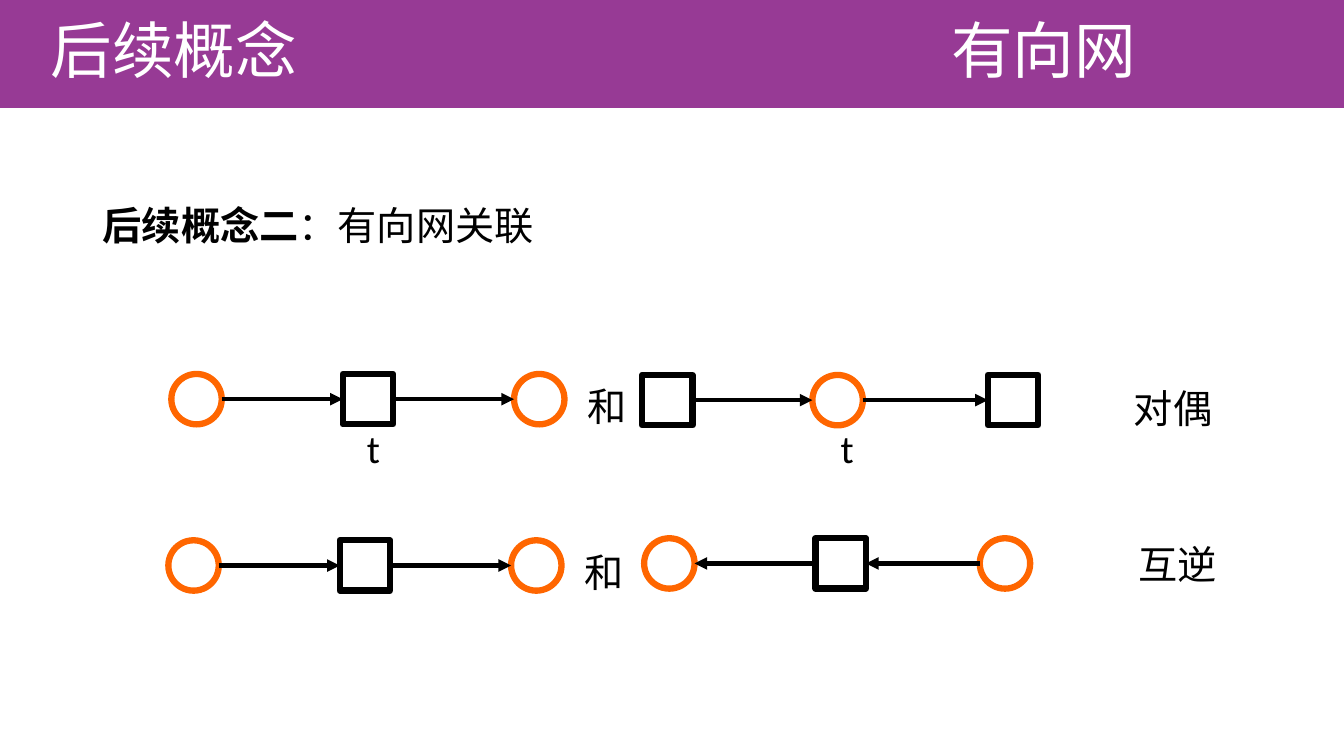
from itertools import pairwise
from lxml.etree import SubElement
from pptx import Presentation
from pptx.dml.color import RGBColor as Rgb
from pptx.enum.shapes import MSO_CONNECTOR as Link, MSO_SHAPE as Kind
from pptx.enum.text import MSO_ANCHOR as Anchor, MSO_AUTO_SIZE as Auto, PP_ALIGN as Align
from pptx.oxml.ns import qn
from pptx.util import Inches, Pt

WIDE, HIGH = Inches(13.33), Inches(7.5)
SIDE = Inches(0.5)
SANS = "Noto Sans CJK SC"
BLACK, WHITE, ORANGE, PURPLE = "000000", "FFFFFF", "FF6600", "973A95"


def share(left, top, width, height):
    return (int(WIDE * left / 100), int(HIGH * top / 100),
            int(WIDE * width / 100), int(HIGH * height / 100))


def place(shape, area):
    shape.left, shape.top, shape.width, shape.height = area


def paint(target, tone):
    target.solid()
    target.fore_color.rgb = Rgb.from_string(tone)


def style(run, size, face, tone=BLACK, bold=False):
    font = run.font
    font.size, font.name, font.bold = Pt(size), face, bold
    font.color.rgb = Rgb.from_string(tone)
    SubElement(run.font._element, qn("a:ea")).set("typeface", SANS)


def write(shape, text, size=28, face="Arial", tone=BLACK):
    frame = shape.text_frame
    frame.word_wrap = True
    frame.text = text
    style(frame.paragraphs[0].runs[0], size, face, tone)
    return frame


def head(shape, text, area, align):
    place(shape, area)
    frame = write(shape, text, 44, SANS, WHITE)
    frame.auto_size = Auto.NONE
    frame.vertical_anchor = Anchor.MIDDLE
    line = frame.paragraphs[0]
    line.alignment, line.line_spacing = align, 0.9
    return frame


def lead(shape, term, rest):
    place(shape, share(6.9, 26.67, 86.25, 63.47))
    frame = write(shape, term)
    frame.auto_size = Auto.NONE
    frame.vertical_anchor = Anchor.TOP
    line = frame.paragraphs[0]
    props = line._p.get_or_add_pPr()
    props.set("marL", "0")
    props.set("indent", "0")
    SubElement(props, qn("a:buNone"))
    line.line_spacing, line.space_before = 0.9, Pt(0)
    line.runs[0].font.bold = True
    tail = line.add_run()
    tail.text = rest
    style(tail, 28, "Arial")


def label(slide, text, left, top, width):
    box = slide.shapes.add_textbox(*share(left, top, width, 7.6))
    write(box, text)


def mark(slide, left):
    box = slide.shapes.add_textbox(*share(left, 56.13, 1.95, 6.27))
    frame = write(box, "t", 28, "Calibri")
    frame.margin_left = frame.margin_right = 0
    frame.margin_top = frame.margin_bottom = 0


def node(slide, sign, left, top):
    x, y, _, _ = share(left, top, 0, 0)
    kind, tone = (Kind.OVAL, ORANGE) if sign == "o" else (Kind.RECTANGLE, BLACK)
    shape = slide.shapes.add_shape(kind, x, y, SIDE, SIDE)
    shape.shadow.inherit = False
    paint(shape.fill, WHITE)
    paint(shape.line.fill, tone)
    shape.line.width = Pt(4.5)
    return shape


def arrow(slide, start, end):
    right = start.left < end.left
    x1 = start.left + (SIDE if right else 0)
    x2 = end.left + (0 if right else SIDE)
    y = start.top + SIDE // 2
    wire = slide.shapes.add_connector(Link.STRAIGHT, x1, y, x2, y)
    if start.auto_shape_type == Kind.RECTANGLE:
        wire.begin_connect(start, 3 if right else 1)
    if end.auto_shape_type == Kind.RECTANGLE:
        wire.end_connect(end, 1 if right else 3)
    paint(wire.line.fill, BLACK)
    wire.line.width = Pt(3)
    SubElement(wire.line._get_or_add_ln(), qn("a:tailEnd")).set("type", "triangle")
    SubElement(wire._element.spPr, qn("a:effectLst"))


def net(slide, signs, lefts, top, back=False):
    nodes = [node(slide, sign, left, top) for sign, left in zip(signs, lefts)]
    for pair in pairwise(nodes[::-1] if back else nodes):
        arrow(slide, *pair)


def main():
    deck = Presentation()
    deck.slide_width, deck.slide_height = WIDE, HIGH
    slide = deck.slides.add_slide(deck.slide_layouts[1])
    title, body = slide.placeholders

    band = slide.shapes.add_shape(Kind.RECTANGLE, *share(0, 0, 100, 14.27))
    band.shadow.inherit = False
    paint(band.fill, PURPLE)
    band.line.fill.background()
    slide.shapes._spTree.insert(2, band._element)

    head(title, "有向网", share(60.3, 0, 25, 14.27), Align.RIGHT)
    area = share(0, 0, 36.75, 14.27)
    topic = head(slide.shapes.add_textbox(*area), "后续概念", area, Align.LEFT)
    topic.margin_left = Inches(0.5)
    lead(body, "后续概念二", "：有向网关联")

    net(slide, "oxo", (12.75, 25.5, 38.25), 49.47)
    net(slide, "xox", (47.78, 60.45, 73.5), 49.6)
    net(slide, "oxo", (12.53, 25.28, 38.03), 71.47)
    net(slide, "oxo", (47.93, 60.68, 72.9), 71.2, back=True)

    for left in (27.3, 62.55):
        mark(slide, left)
    label(slide, "和", 42.98, 49.87, 5.18)
    label(slide, "和", 42.75, 71.87, 5.18)
    label(slide, "对偶", 83.63, 50.13, 9.45)
    label(slide, "互逆", 84, 70.8, 9.45)
    deck.save("out.pptx")


if __name__ == "__main__":
    main()
